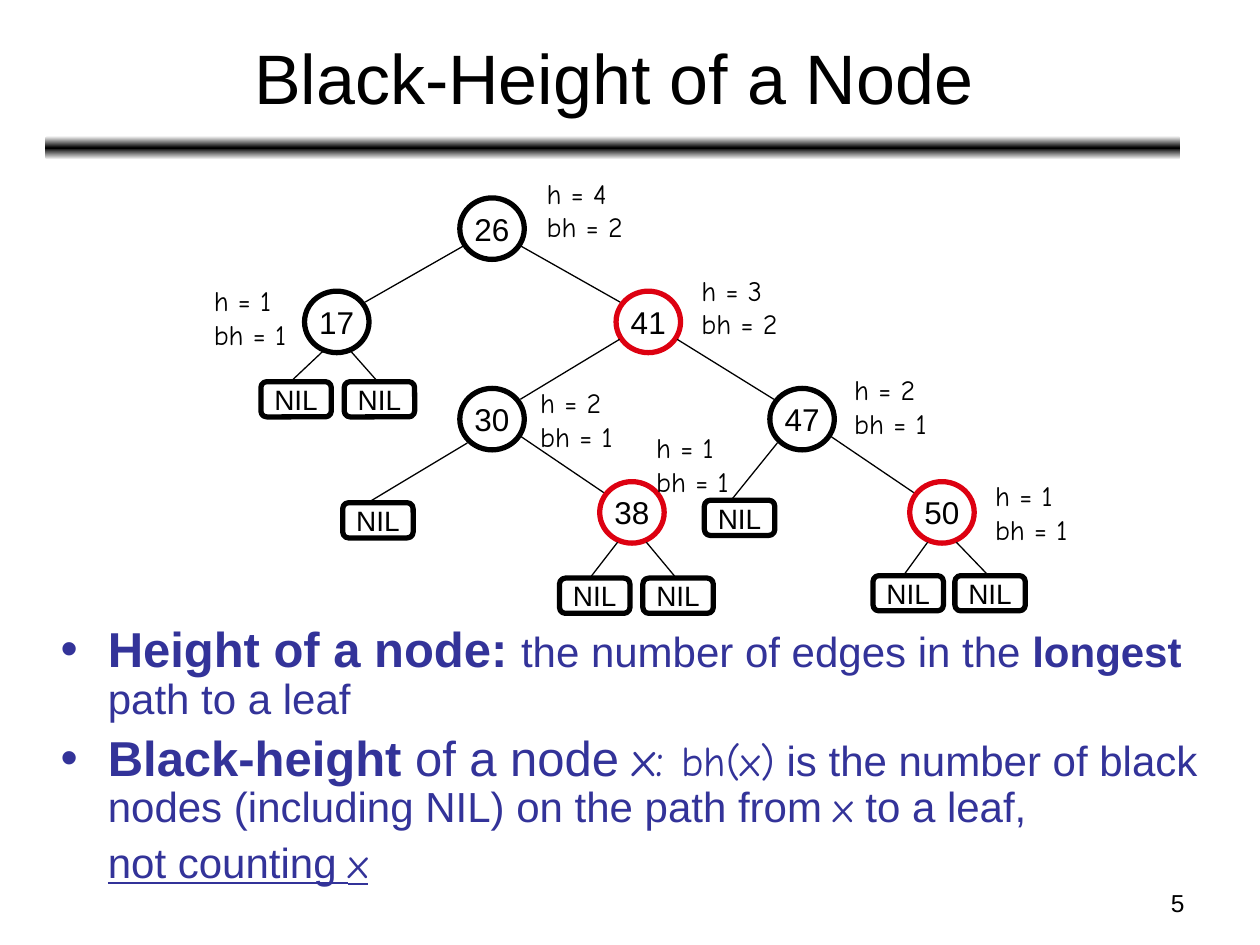
"""Build a slide explaining the black-height of nodes in a red-black tree."""
from copy import deepcopy

from pptx import Presentation
from pptx.dml.color import RGBColor
from pptx.enum.shapes import MSO_CONNECTOR, MSO_SHAPE
from pptx.enum.text import MSO_ANCHOR, MSO_AUTO_SIZE, PP_ALIGN
from pptx.oxml.ns import qn
from pptx.oxml.xmlchemy import OxmlElement
from pptx.util import Cm, Pt

ELLIPSE, ROUNDED = MSO_SHAPE.OVAL, MSO_SHAPE.ROUNDED_RECTANGLE
STRAIGHT = MSO_CONNECTOR.STRAIGHT
LEFT, CENTER, RIGHT = PP_ALIGN.LEFT, PP_ALIGN.CENTER, PP_ALIGN.RIGHT
TOP, MIDDLE = MSO_ANCHOR.TOP, MSO_ANCHOR.MIDDLE
NO_FIT = MSO_AUTO_SIZE.NONE

COLORS = {"black": "000000", "red": "DD0111", "white": "FFFFFF", "body": "333399"}
SANS, HAND = "Arial", "Comic Neue"

TITLE = "Black-Height of a Node"
PAGE_NUMBER = "5"
BODY = [
    (True, [
        ("Height of a node: ", {"size": 28, "bold": True}),
        ("the number of edges in the ", {}),
        ("longest ", {"bold": True}),
        ("path to a leaf", {}),
    ]),
    (True, [
        ("Black-height ", {"size": 28, "bold": True}),
        ("of a node ", {"size": 28}),
        ("x: ", {"size": 28, "name": HAND}),
        ("bh(x)", {"name": HAND}),
        (" is the number of black nodes (including NIL) on the path from ", {}),
        ("x", {"name": HAND}),
        (" to a leaf,", {}),
    ]),
    (False, [
        ("not counting ", {"underline": True}),
        ("x", {"underline": True, "name": HAND}),
    ]),
]

# key: centre, colour, height, black-height, label corner
NODES = {
    26: ((9.92, 4.61), "black", 4, 2, (10.77, 3.43)),
    17: ((6.79, 6.49), "black", 1, 1, (4.06, 5.59)),
    41: ((13.07, 6.49), "red", 3, 2, (13.89, 5.38)),
    30: ((9.92, 8.45), "black", 2, 1, (10.64, 7.65)),
    47: ((16.17, 8.45), "black", 2, 1, (16.97, 7.39)),
    38: ((12.74, 10.33), "red", 1, 1, (12.98, 8.56)),
    50: ((18.99, 10.33), "red", 1, 1, (19.81, 9.53)),
}
EDGES = [(26, 17), (26, 41), (41, 30), (41, 47), (30, 38), (47, 50)]
LEAVES = {
    17: [(5.97, 8.05), (7.65, 8.05)],
    30: [(7.62, 10.49)],
    38: [(11.99, 12.01), (13.67, 12.01)],
    50: [(18.31, 11.96), (19.96, 11.96)],
    47: [(14.91, 10.44)],
}
NODE_SIZE, LEAF_SIZE, LABEL_SIZE = (1.3, 1.24), (1.42, 0.71), (2.3, 1.63)
PARENT_OFFSET, CHILD_OFFSET = (0.58, 0.35), (0.57, 0.4)
PAIR_OFFSET, SINGLE_OFFSET = (0.29, 0.6), (0.5, 0.48)
PAIR_SHIFT, SINGLE_SHIFT = 0.07, 0.14


def color(name):
    return RGBColor.from_string(COLORS[name])


def add_span(para, text, size, name=SANS, tint="black", **formats):
    span = para.add_run()
    span.text = text
    for key, value in {"size": Pt(size), "name": name, **formats}.items():
        setattr(span.font, key, value)
    span.font.color.rgb = color(tint)


def place(box, left, top, width, height):
    values = {"left": left, "top": top, "width": width, "height": height}
    for key, value in values.items():
        setattr(box, key, Cm(value))


def add_outline(page, kind, center, size, tint, text, points):
    (x, y), (width, height) = center, size
    box = page.shapes.add_shape(
        kind, Cm(x - width / 2), Cm(y - height / 2), Cm(width), Cm(height))
    box.shadow.inherit = False
    box.fill.background()
    box.line.color.rgb = color(tint)
    box.line.width = Pt(3)
    frame = box.text_frame
    frame.word_wrap = False
    frame.vertical_anchor = MIDDLE
    frame.paragraphs[0].alignment = CENTER
    add_span(frame.paragraphs[0], text, points)


def add_edge(page, start, end):
    edge = page.shapes.add_connector(STRAIGHT, *map(Cm, start + end))
    edge.line.color.rgb = color("black")
    edge.line.width = Pt(0.75)
    edge._element.spPr.append(OxmlElement("a:effectLst"))


def add_text(page, corner, size, lines, points, name, alignment):
    box = page.shapes.add_textbox(*map(Cm, corner + size))
    frame = box.text_frame
    frame.word_wrap = True
    for index, line in enumerate(lines):
        para = frame.add_paragraph() if index else frame.paragraphs[0]
        para.alignment = alignment
        add_span(para, line, points, name)


def add_divider(page):
    bar = page.shapes.add_shape(ROUNDED, Cm(0.91), Cm(2.74), Cm(22.89), Cm(0.48))
    bar.shadow.inherit = False
    bar.line.fill.background()
    bar.fill.gradient()
    bar.fill.gradient_angle = 90
    for stop in bar.fill.gradient_stops:
        stop.color.rgb = color("white")
    first = bar._element.spPr.find(".//" + qn("a:gs"))
    first.addnext(deepcopy(first))
    middle = bar.fill.gradient_stops[1]
    middle.position = 0.5
    middle.color.rgb = color("black")


def fill_title(page):
    box = page.shapes.title
    place(box, 0.94, 0.28, 22.86, 2.51)
    frame = box.text_frame
    frame.auto_size = NO_FIT
    frame.vertical_anchor = MIDDLE
    frame.paragraphs[0].alignment = CENTER
    add_span(frame.paragraphs[0], TITLE, 40)


def fill_body(page):
    box = page.placeholders[1]
    place(box, 0.97, 12.47, 23.72, 5.99)
    frame = box.text_frame
    frame.auto_size = NO_FIT
    frame.vertical_anchor = TOP
    for index, (bulleted, spans) in enumerate(BODY):
        para = frame.add_paragraph() if index else frame.paragraphs[0]
        for key, value in {"line_spacing": 0.9, "space_before": Pt(6),
                           "alignment": LEFT}.items():
            setattr(para, key, value)
        properties = para._p.get_or_add_pPr()
        properties.set("marL", str(Cm(0.95)))
        properties.set("indent", str(Cm(-0.95) if bulleted else 0))
        bullet = OxmlElement("a:buChar" if bulleted else "a:buNone")
        if bulleted:
            bullet.set("char", "•")
        properties.append(bullet)
        for text, formats in spans:
            add_span(para, text, **{"size": 24, "tint": "body", **formats})


def draw_tree(page):
    for key, (center, tint, *_) in NODES.items():
        add_outline(page, ELLIPSE, center, NODE_SIZE, tint, str(key), 18)
    for parent, child in EDGES:
        (x1, y1), (x2, y2) = NODES[parent][0], NODES[child][0]
        side = 1 if x2 > x1 else -1
        add_edge(page, (x1 + side * PARENT_OFFSET[0], y1 + PARENT_OFFSET[1]),
                 (x2 - side * CHILD_OFFSET[0], y2 - CHILD_OFFSET[1]))
    for parent, centers in LEAVES.items():
        x1, y1 = NODES[parent][0]
        paired = len(centers) == 2
        dx, dy = PAIR_OFFSET if paired else SINGLE_OFFSET
        shift = PAIR_SHIFT if paired else SINGLE_SHIFT
        for x2, y2 in centers:
            side = 1 if x2 > x1 else -1
            add_outline(page, ROUNDED, (x2, y2), LEAF_SIZE, "black", "NIL", 16)
            add_edge(page, (x1 + side * dx, y1 + dy),
                     (x2 - shift, y2 - LEAF_SIZE[1] / 2 - 0.04))
    for _, _, height, black_height, corner in NODES.values():
        lines = [f"h = {height}", f"bh = {black_height}"]
        add_text(page, corner, LABEL_SIZE, lines, 16, HAND, LEFT)


def main():
    deck = Presentation()
    deck.slide_width, deck.slide_height = Cm(25.4), Cm(19.05)
    page = deck.slides.add_slide(deck.slide_layouts[1])
    add_divider(page)
    add_text(page, (18.21, 17.78), (5.92, 0.89), [PAGE_NUMBER], 14, SANS, RIGHT)
    fill_title(page)
    fill_body(page)
    draw_tree(page)
    deck.save("out.pptx")


if __name__ == "__main__":
    main()
